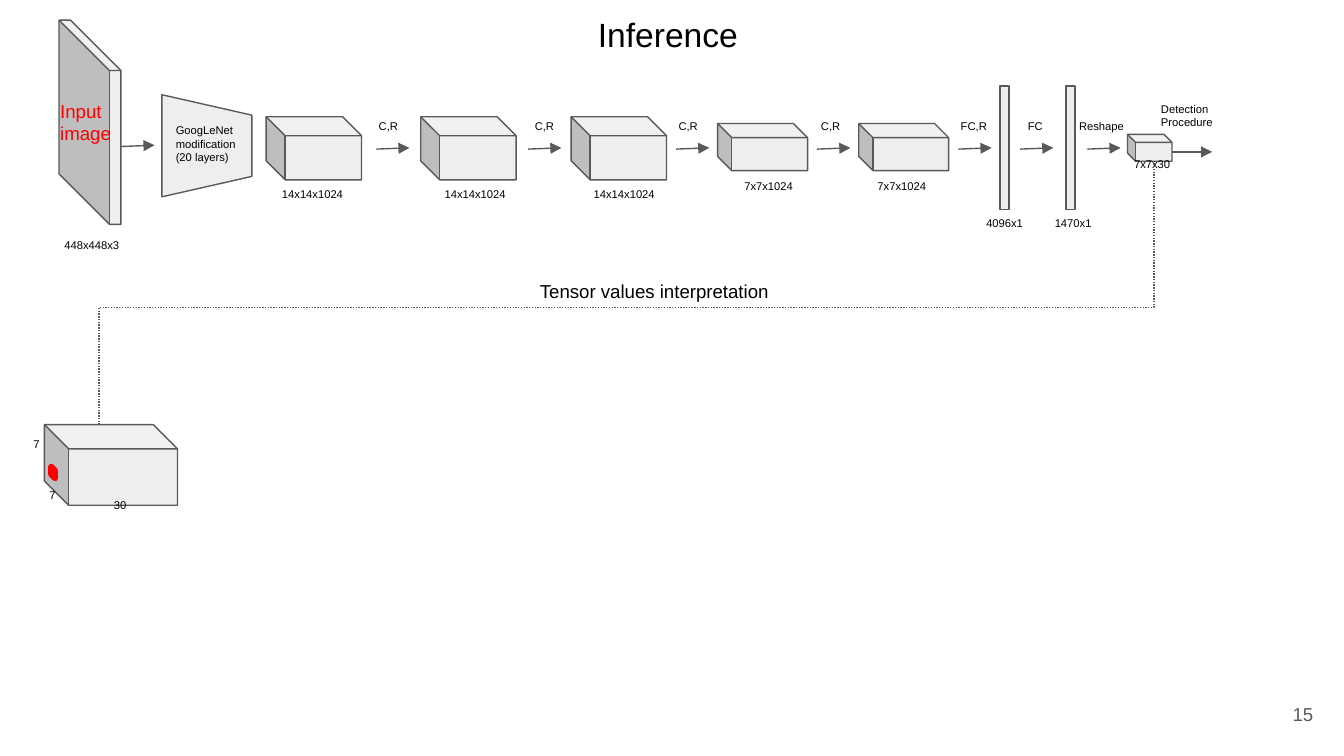
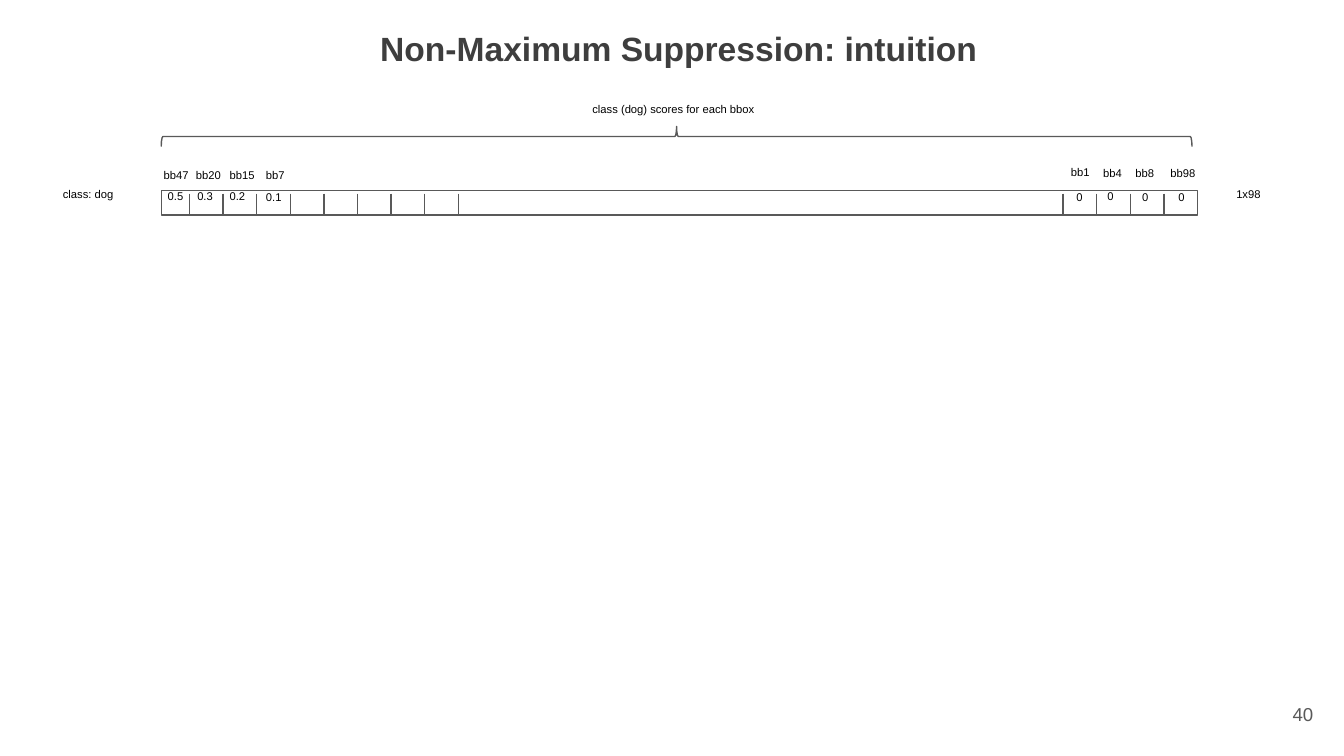
from lxml.etree import SubElement
from pptx import Presentation
from pptx.dml.color import RGBColor
from pptx.enum.dml import MSO_LINE_DASH_STYLE as Dash
from pptx.enum.shapes import MSO_CONNECTOR as Connector, MSO_SHAPE as Shape
from pptx.enum.text import MSO_ANCHOR as Anchor, PP_ALIGN as Align
from pptx.oxml.ns import qn
from pptx.util import Pt

COLORS = {
    "text": "000000",
    "line": "595959",
    "fill": "EEEEEE",
    "accent": "FF0000",
    "title": "3E3E3E",
}
FONT = "Arial"
INSET = 7.2


def add_text(slide, text, left, top, width, height, size=6, color="text", bold=False,
             align=Align.LEFT, anchor=Anchor.TOP):
    box = slide.shapes.add_textbox(Pt(left), Pt(top), Pt(width), Pt(height))
    frame = box.text_frame
    frame.word_wrap = True
    frame.vertical_anchor = anchor
    frame.margin_left = frame.margin_right = Pt(INSET)
    frame.margin_top = frame.margin_bottom = Pt(INSET)
    frame.text = text
    for paragraph in frame.paragraphs:
        paragraph.alignment = align
        for run in paragraph.runs:
            run.font.name = FONT
            run.font.size = Pt(size)
            run.font.bold = bold
            run.font.color.rgb = RGBColor.from_string(COLORS[color])
    return box


def add_preset(slide, kind, left, top, width, height, fill="fill", line="line",
               line_width=0.75, rotation=0, adjustments=()):
    shape = slide.shapes.add_shape(kind, Pt(left), Pt(top), Pt(width), Pt(height))
    shape.shadow.inherit = False
    shape.rotation = rotation
    for index, value in enumerate(adjustments):
        shape.adjustments[index] = value
    if fill:
        shape.fill.solid()
        shape.fill.fore_color.rgb = RGBColor.from_string(COLORS[fill])
    else:
        shape.fill.background()
    shape.line.color.rgb = RGBColor.from_string(COLORS[line])
    shape.line.width = Pt(line_width)
    return shape


presentation = Presentation()
presentation.slide_width = Pt(720)
presentation.slide_height = Pt(405)
blank = presentation.slide_layouts[6]
inference = presentation.slides.add_slide(blank)
suppression = presentation.slides.add_slide(blank)

for slide, number in [(inference, "15"), (suppression, "40")]:
    add_text(slide, number, 667.4, 367.2, 43.2, 31, size=10, color="line",
             align=Align.RIGHT, anchor=Anchor.MIDDLE)

add_text(inference, "Inference", 313.2, 0, 99.4, 30.2, size=18)

cubes = [
    (31.7, 10.8, 33.1, 109.4, 0.815),
    (142.6, 62.6, 51.1, 33.8, 0.301),
    (225.4, 62.6, 51.1, 33.8, 0.301),
    (306, 62.6, 51.1, 33.8, 0.301),
    (384.5, 66.2, 48.2, 25.2, 0.301),
    (460.1, 66.2, 48.2, 25.2, 0.301),
    (604.1, 72, 23.8, 14.4, 0.301),
    (23.8, 227.5, 71.3, 43.2, 0.301),
]
for left, top, width, height, depth in cubes:
    cube = add_preset(inference, Shape.CUBE, left, top, width, height, adjustments=[depth])
    cube._element.spPr.xfrm.set("flipH", "1")

add_preset(inference, Shape.FLOWCHART_MANUAL_OPERATION, 83.5, 54, 54.7, 48.2, rotation=270)
for left in (535.7, 571):
    add_preset(inference, Shape.RECTANGLE, left, 46.1, 5, 66.2)
add_preset(inference, Shape.PARALLELOGRAM, 25.2, 252, 6.5, 2.2, fill=None, line="accent",
           line_width=3, rotation=90, adjustments=[0.969])

size_labels = [
    ("448x448x3", 27.4, 123.8, 48.2),
    ("14x14x1024", 144, 96.5, 48.2),
    ("14x14x1024", 231.1, 96.5, 48.2),
    ("14x14x1024", 311, 96.5, 48.2),
    ("7x7x1024", 391.7, 92.2, 48.2),
    ("7x7x1024", 463, 92.2, 48.2),
    ("4096x1", 521.3, 112.3, 39),
    ("1470x1", 558, 112.3, 39),
    ("7x7x30", 600.5, 80.6, 48.2),
    ("7", 10.8, 230.4, 18),
    ("7", 19.4, 257.8, 18),
    ("30", 54, 263.5, 21.6),
    ("GoogLeNet modification\n(20 layers)", 87.1, 59, 48.2),
    ("Detection\nProcedure", 614.9, 47.5, 43.2),
]
for text, left, top, width in size_labels:
    add_text(inference, text, left, top, width, 14.4)

add_text(inference, "Input\nimage", 25.2, 46.1, 48.2, 14.4, size=10, color="accent")
add_text(inference, "Tensor values interpretation", 282.2, 144, 148.3, 14.4, size=10)

lines = [(inference, Connector.STRAIGHT, 64.8, 78.5, 82.8, 77.8, True)]
steps = [
    ("C,R", 195.8, 30.2, 201.6),
    ("C,R", 279.4, 30.2, 283),
    ("C,R", 356.4, 30.2, 362.2),
    ("C,R", 432.7, 30.2, 437.8),
    ("FC,R", 507.6, 30.2, 513.4),
    ("FC", 543.6, 23.8, 546.5),
    ("Reshape", 571, 39, 582.5),
]
for text, left, width, start in steps:
    add_text(inference, text, left, 60.5, width, 19.4)
    lines.append((inference, Connector.STRAIGHT, start, 79.9, start + 17.8, 79.2, True))
lines.append((inference, Connector.ELBOW, 627.8, 81.4, 649.4, 81.4, True))

title = add_text(suppression, "Non-Maximum Suppression: intuition", 196.6, 5.8, 402.5, 37.4,
                 size=18, color="title", bold=True, anchor=Anchor.MIDDLE)
title.text_frame.paragraphs[0].line_spacing = 1.1
title.text_frame.paragraphs[0].space_after = Pt(12)

add_preset(suppression, Shape.RECTANGLE, 86.4, 102.2, 555.1, 13, fill=None)
add_preset(suppression, Shape.RIGHT_BRACE, 357.1, -203, 10.8, 552.2, fill=None,
           rotation=270, adjustments=[0.083, 0.5])
add_text(suppression, "class (dog) scores for each bbox", 310.3, 51.1, 108, 19.4)
add_text(suppression, "class: dog", 26.6, 96.5, 51.1, 19.4)
add_text(suppression, "1x98", 655.2, 96.5, 51.1, 19.4)

scores = [
    ("bb47", 80.6, 86.4, "0.5", 82.8, 97.9, 23.8),
    ("bb20", 97.9, 86.4, "0.3", 98.6, 97.9, 30.2),
    ("bb15", 115.9, 86.4, "0.2", 115.9, 97.9, 30.2),
    ("bb7", 135.4, 86.4, "0.1", 135.4, 98.3, 30.2),
    ("bb1", 566.6, 85, "0", 569.5, 98.6, 18),
    ("bb4", 583.9, 85.7, "0", 586.1, 97.9, 18),
    ("bb8", 601.2, 85.7, "0", 604.8, 98.6, 18),
    ("bb98", 619.9, 85.7, "0", 624.2, 98.6, 18),
]
for name, name_left, name_top, score, score_left, score_top, score_width in scores:
    add_text(suppression, name, name_left, name_top, 30.2, 19.4)
    add_text(suppression, score, score_left, score_top, score_width, 19.4)

for first, count in [(101.5, 9), (569.5, 4)]:
    for index in range(count):
        left = first + 18 * index
        lines.append((suppression, Connector.STRAIGHT, left, 103.7, left, 114.5, False))

lines.append((inference, Connector.ELBOW, 265, -126, 406.1, 439.2, False))
for slide, kind, start_x, start_y, end_x, end_y, arrow in lines:
    connector = slide.shapes.add_connector(kind, Pt(start_x), Pt(start_y), Pt(end_x), Pt(end_y))
    connector.line.color.rgb = RGBColor.from_string(COLORS["line"])
    connector.line.width = Pt(0.75)
    properties = connector._element.spPr
    SubElement(properties, qn("a:effectLst"))
    if arrow:
        SubElement(connector.line._get_or_add_ln(), qn("a:tailEnd"), type="triangle")

tensor_link = connector
tensor_link.line.dash_style = Dash.ROUND_DOT
properties.find(qn("a:xfrm")).set("rot", str(90 * 60000))
guides = properties.find(qn("a:prstGeom")).get_or_add_avLst()
SubElement(guides, qn("a:gd"), name="adj1", fmla="val 55800")

presentation.save("out.pptx")
